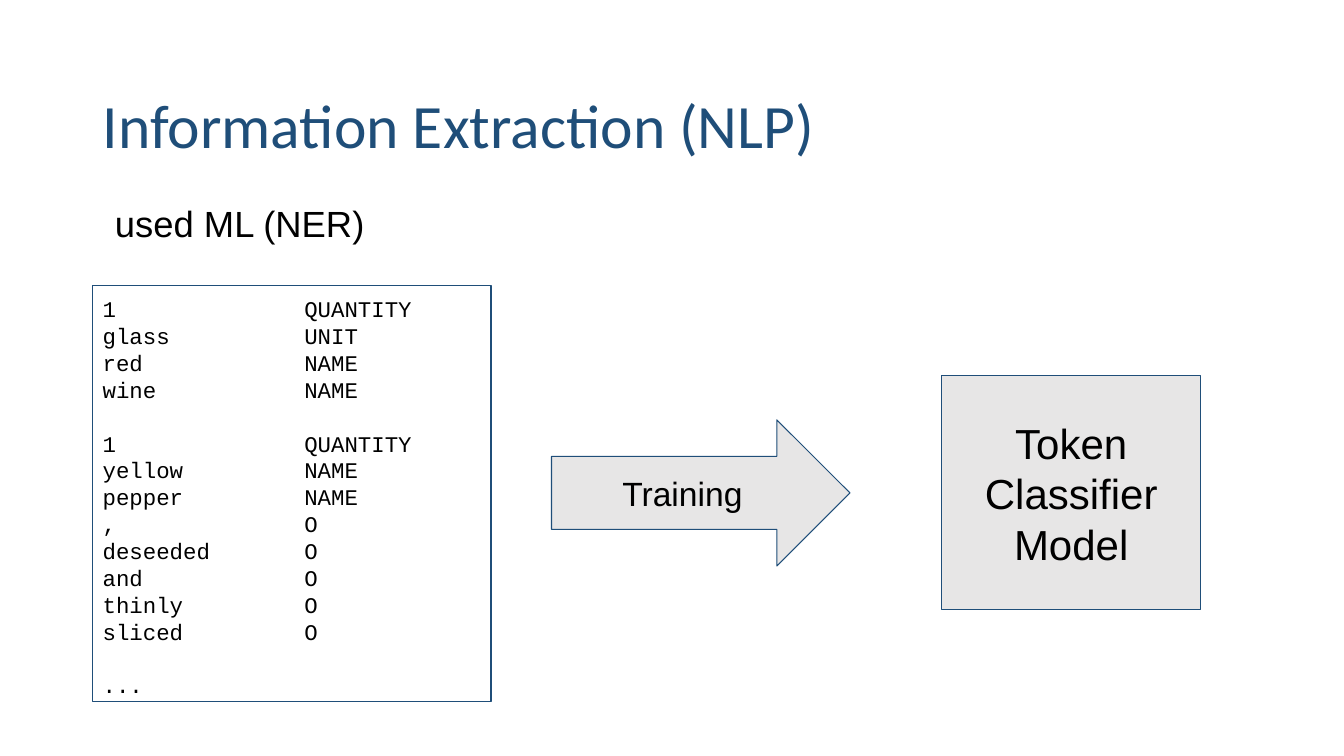
from lxml.etree import SubElement
from pptx import Presentation
from pptx.dml.color import RGBColor
from pptx.enum.shapes import MSO_SHAPE
from pptx.enum.text import MSO_ANCHOR, MSO_AUTO_SIZE, PP_ALIGN
from pptx.oxml.ns import qn
from pptx.util import Inches, Pt

BLUE, GREY, BLACK = "1F4E79", "E7E6E6", "000000"
WIDTH, HEIGHT = 13.33, 7.5
LEFT = 0.92
CODE_LINE = 19.2
TAG_TAB = 2.0

SENTENCES = [
    [("1", "QUANTITY"), ("glass", "UNIT"), ("red", "NAME"), ("wine", "NAME")],
    [("1", "QUANTITY"), ("yellow", "NAME"), ("pepper", "NAME"), (",", "O"),
     ("deseeded", "O"), ("and", "O"), ("thinly", "O"), ("sliced", "O")],
    [("...",)],
]


def rgb(value):
    return RGBColor.from_string(value)


def add_run(p, text, size, font="Arial", color=BLACK):
    r = p.add_run()
    r.text = text
    r.font.size = Pt(size)
    r.font.name = font
    r.font.color.rgb = rgb(color)


def set_frame(tf, anchor, top=0.1, bottom=0.1):
    tf.word_wrap = True
    tf.auto_size = MSO_AUTO_SIZE.NONE
    tf.vertical_anchor = anchor
    tf.margin_left = tf.margin_right = Inches(0.1)
    tf.margin_top, tf.margin_bottom = Inches(top), Inches(bottom)


def add_outlined(s, kind, box, fill=None):
    sp = s.shapes.add_shape(kind, *map(Inches, box))
    sp.shadow.inherit = False
    sp.line.color.rgb = rgb(BLUE)
    sp.line.width = Pt(0.75)
    if fill:
        sp.fill.solid()
        sp.fill.fore_color.rgb = rgb(fill)
    else:
        sp.fill.background()
    return sp


def add_title(s, box, text):
    sp = s.shapes.title
    sp.left, sp.top, sp.width, sp.height = map(Inches, box)
    set_frame(sp.text_frame, MSO_ANCHOR.MIDDLE, 0.05, 0.05)
    p = sp.text_frame.paragraphs[0]
    p.alignment = PP_ALIGN.LEFT
    p.line_spacing = 0.9
    add_run(p, text, 44, "Calibri", BLUE)


def add_subtitle(s, box, text):
    tf = s.shapes.add_textbox(*map(Inches, box)).text_frame
    set_frame(tf, MSO_ANCHOR.TOP, 0.05, 0.05)
    tf.margin_left = Inches(0.22)
    p = tf.paragraphs[0]
    p.line_spacing = 0.9
    add_run(p, text, 26)


def add_tab_stop(p, position):
    tabs = SubElement(p._p.get_or_add_pPr(), qn("a:tabLst"))
    SubElement(tabs, qn("a:tab"), pos=str(Inches(position)), algn="l")


def add_tagged_tokens(s, box, sentences):
    """Box of token and tag lines, with a one-line gap between sentences."""
    tf = add_outlined(s, MSO_SHAPE.RECTANGLE, box).text_frame
    set_frame(tf, MSO_ANCHOR.TOP)
    for i, sentence in enumerate(sentences):
        for j, fields in enumerate(sentence):
            p = tf.add_paragraph() if i or j else tf.paragraphs[0]
            p.alignment = PP_ALIGN.LEFT
            p.line_spacing = Pt(CODE_LINE)
            p.space_before = Pt(CODE_LINE if i and not j else 0)
            add_tab_stop(p, TAG_TAB)
            add_run(p, "\t".join(fields), 16, "Courier New")


def add_step(s, kind, box, text, size):
    tf = add_outlined(s, kind, box, GREY).text_frame
    set_frame(tf, MSO_ANCHOR.MIDDLE)
    p = tf.paragraphs[0]
    p.alignment = PP_ALIGN.CENTER
    add_run(p, text, size)


def main():
    prs = Presentation()
    prs.slide_width, prs.slide_height = Inches(WIDTH), Inches(HEIGHT)
    s = prs.slides.add_slide(prs.slide_layouts[5])
    middle = 4.89
    add_title(s, (LEFT, 0.55, 11.5, 1.45), "Information Extraction (NLP)")
    add_subtitle(s, (LEFT, 2, 10.23, 0.7), "used ML (NER)")
    add_tagged_tokens(s, (LEFT, 2.83, 3.95, 4.13), SENTENCES)
    steps = [
        (MSO_SHAPE.RIGHT_ARROW, 5.47, 2.96, 1.45, "Training", 24),
        (MSO_SHAPE.RECTANGLE, 9.34, 2.57, 2.32, "Token Classifier Model", 30),
    ]
    for kind, left, width, height, text, size in steps:
        add_step(s, kind, (left, middle - height / 2, width, height), text, size)
    prs.save("out.pptx")


if __name__ == "__main__":
    main()
